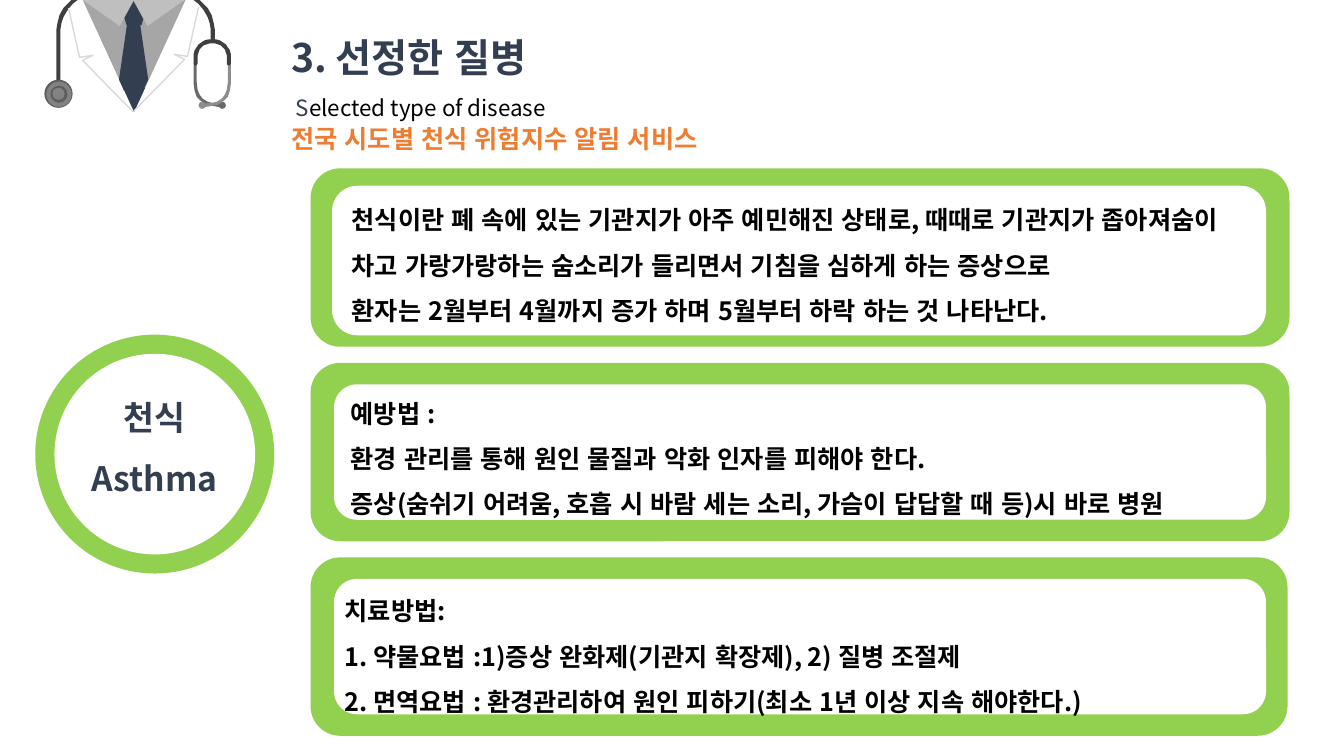
from dataclasses import dataclass
from math import cos, pi, sin

from lxml.etree import SubElement
from pptx import Presentation
from pptx.dml.color import RGBColor
from pptx.enum.lang import MSO_LANGUAGE_ID
from pptx.enum.shapes import MSO_SHAPE
from pptx.enum.text import MSO_AUTO_SIZE, PP_ALIGN
from pptx.oxml.ns import qn
from pptx.util import Pt

PX = 9144


@dataclass(frozen=True)
class Theme:
    font: str = "Noto Sans CJK KR"
    navy: str = "333F50"
    green: str = "92D050"
    orange: str = "ED7D31"
    white: str = "FFFFFF"
    black: str = "000000"
    shirt: str = "A6A6A6"
    collar: str = "BFBFBF"
    coat: str = "D9D9D9"
    tube: str = "3F3F3F"
    metal_dark: str = "5E5E5E"
    metal_light: str = "828282"
    fork_dark: str = "69696B"
    fork_light: str = "8D8D8E"
    title: int = 28
    label: int = 24
    body: int = 18
    subtitle: int = 16
    indent: int = 15


THEME = Theme()


@dataclass(frozen=True)
class Box:
    left: int
    top: int
    width: int
    height: int

    def emu(self) -> tuple[int, ...]:
        return tuple(n * PX for n in (self.left, self.top, self.width, self.height))


@dataclass(frozen=True)
class Span:
    text: str
    size: int
    color: str
    bold: bool = True


@dataclass(frozen=True)
class Panel:
    frame: Box
    inside: Box
    words: Box
    lines: tuple[str, ...]


Points = list[tuple[int, int]]


def paint(shape, fill: str | None, line: str | None = None) -> None:
    shape.shadow.inherit = False
    if fill:
        shape.fill.solid()
        shape.fill.fore_color.rgb = RGBColor.from_string(fill)
    else:
        shape.fill.background()
    if line:
        shape.line.color.rgb = RGBColor.from_string(line)
        shape.line.width = Pt(1)
    else:
        shape.line.fill.background()


def draw_shape(shapes, kind, box: Box, fill: str, line: str | None = None,
               flips: str = "", peak: float | None = None) -> None:
    shape = shapes.add_shape(kind, *box.emu())
    paint(shape, fill, line)
    if peak is not None:
        shape.adjustments[0] = peak
    for axis in flips:
        shape._element.spPr.xfrm.set(f"flip{axis}", "1")


def draw_outline(shapes, points: Points, fill: str | None, line: str | None = None) -> None:
    builder = shapes.build_freeform(*points[0], scale=PX)
    builder.add_line_segments(points[1:], close=fill is not None)
    paint(builder.convert_to_shape(), fill, line)


def draw_text(shapes, box: Box, paragraphs: list[list[Span]], spacing: float | None = 1.5,
              align=PP_ALIGN.LEFT, wrap: bool = True) -> None:
    frame = shapes.add_textbox(*box.emu()).text_frame
    frame.word_wrap = wrap
    frame.auto_size = MSO_AUTO_SIZE.SHAPE_TO_FIT_TEXT
    for index, spans in enumerate(paragraphs):
        para = frame.paragraphs[0] if index == 0 else frame.add_paragraph()
        for name, value in {"alignment": align, "line_spacing": spacing}.items():
            setattr(para, name, value)
        for span in spans:
            run = para.add_run()
            run.text = span.text
            run.font.color.rgb = RGBColor.from_string(span.color)
            values = {"size": Pt(span.size), "bold": span.bold, "name": THEME.font,
                      "language_id": MSO_LANGUAGE_ID.KOREAN}
            for name, value in values.items():
                setattr(run.font, name, value)
            SubElement(run.font._element, qn("a:ea")).set("typeface", THEME.font)


def mirror(points: Points, total: int, shift: int = 0) -> Points:
    return [(total - x, y + shift) for x, y in points]


def tube(end: int) -> Points:
    inner = [(71, 0), (77, 0), (72, 4), (67, 10), (63, 17), (61, 23), (60, 29)]
    outer = [(56, 29), (57, 23), (59, 15), (63, 8), (69, 2)]
    return inner + [(60, end), (56, end)] + outer


def arch(center: float, base: float, radius: float) -> Points:
    angles = [pi * step / 16 for step in range(17)]
    return [(round(center - radius * cos(a)), round(base - radius * sin(a))) for a in angles]


def draw_doctor(page) -> None:
    shapes = page.shapes.add_group_shape().shapes
    triangle = MSO_SHAPE.ISOSCELES_TRIANGLE
    draw_shape(shapes, triangle, Box(82, 0, 102, 111), THEME.shirt, flips="V")
    draw_shape(shapes, MSO_SHAPE.REGULAR_PENTAGON, Box(121, 0, 24, 25), THEME.navy)
    tie = [(126, 24), (139, 24), (147, 79), (142, 90), (123, 90), (118, 79)]
    draw_outline(shapes, tie, THEME.navy)
    draw_shape(shapes, triangle, Box(82, 0, 51, 26), THEME.collar, flips="V", peak=0.72)
    draw_outline(shapes, tube(100), THEME.tube)
    draw_outline(shapes, mirror(tube(42), 269), THEME.tube)

    metals = (THEME.metal_dark, THEME.metal_light) * 2
    for size, metal in zip((28, 25, 17, 12), metals):
        disc = Box(58 - size // 2, 93 - size // 2, size, size)
        draw_shape(shapes, MSO_SHAPE.OVAL, disc, metal)

    prong = [(192, 63), (195, 63), (195, 81), (196, 89), (198, 94), (201, 98), (206, 101),
             (210, 102), (221, 103), (221, 106), (216, 106), (205, 104), (199, 100),
             (195, 96), (193, 90), (192, 83)]
    prongs = ((prong, 217, THEME.fork_dark), (mirror(prong, 421), 197, THEME.fork_light))
    for outline, tip, color in prongs:
        draw_outline(shapes, outline, color)
        draw_shape(shapes, MSO_SHAPE.OVAL, Box(tip, 101, 7, 7), color)
    yoke = [(192, 63), *arch(210.5, 57.5, 18.5), (229, 63), (228, 65), (226, 65), (225, 63),
            *reversed(arch(210.5, 57.5, 14.5)), (196, 63), (195, 65), (193, 65)]
    draw_outline(shapes, yoke, THEME.tube)

    draw_shape(shapes, triangle, Box(132, 0, 51, 26), THEME.collar, flips="HV", peak=0.72)
    draw_shape(shapes, triangle, Box(122, 87, 22, 24), THEME.navy, flips="V")
    lapel = [(68, 8), (79, 57), (92, 55), (82, 60), (132, 111)]
    for outline in (lapel, mirror(lapel, 265, -1)):
        draw_outline(shapes, outline, None, THEME.coat)


PANELS = (
    Panel(Box(308, 167, 971, 177), Box(330, 185, 925, 147), Box(339, 183, 915, 141), (
        "천식이란 폐 속에 있는 기관지가 아주 예민해진 상태로, 때때로 기관지가 좁아져숨이 "
        "차고 가랑가랑하는 숨소리가 들리면서 기침을 심하게 하는 증상으로",
        "환자는 2월부터 4월까지 증가 하며 5월부터 하락 하는 것 나타난다.")),
    Panel(Box(308, 360, 971, 177), Box(332, 382, 923, 133), Box(338, 375, 923, 146), (
        "예방법 :",
        "환경 관리를 통해 원인 물질과 악화 인자를 피해야 한다.",
        "증상(숨쉬기 어려움, 호흡 시 바람 세는 소리, 가슴이 답답할 때 등)시 바로 병원")),
    Panel(Box(308, 553, 969, 177), Box(332, 575, 923, 133), Box(332, 571, 923, 146), (
        "치료방법:",
        "1. 약물요법 :1)증상 완화제(기관지 확장제), 2) 질병 조절제",
        "2. 면역요법 : 환경관리하여 원인 피하기(최소 1년 이상 지속 해야한다.)")),
)


def main() -> None:
    deck = Presentation()
    deck.slide_width, deck.slide_height = 1333 * PX, 750 * PX
    page = deck.slides.add_slide(deck.slide_layouts[6])
    shapes = page.shapes
    draw_doctor(page)
    draw_text(shapes, Box(279, 5, 670, 120), [
        [Span("3. 선정한 질병", THEME.title, THEME.navy)],
        [Span(" ", THEME.indent, THEME.navy, False),
         Span("S", THEME.subtitle, THEME.navy, False),
         Span("elected type of disease", THEME.subtitle, THEME.black, False)]])
    draw_shape(shapes, MSO_SHAPE.OVAL, Box(35, 332, 237, 237), THEME.green)
    draw_shape(shapes, MSO_SHAPE.OVAL, Box(54, 351, 199, 199), THEME.white)
    names = [[Span(name, THEME.label, THEME.navy)] for name in ("천식", "Asthma")]
    draw_text(shapes, Box(25, 369, 257, 131), names, align=PP_ALIGN.CENTER)
    draw_text(shapes, Box(279, 117, 469, 40), [
        [Span("전국 시도별 천식 위험지수 알림 서비스", THEME.body, THEME.orange)]],
        spacing=None, wrap=False)
    for panel in PANELS:
        draw_shape(shapes, MSO_SHAPE.ROUNDED_RECTANGLE, panel.frame, THEME.green)
        draw_shape(shapes, MSO_SHAPE.ROUNDED_RECTANGLE, panel.inside, THEME.white, THEME.white)
        lines = [[Span(line, THEME.body, THEME.black)] for line in panel.lines]
        draw_text(shapes, panel.words, lines)
    deck.save("out.pptx")


if __name__ == "__main__":
    main()
